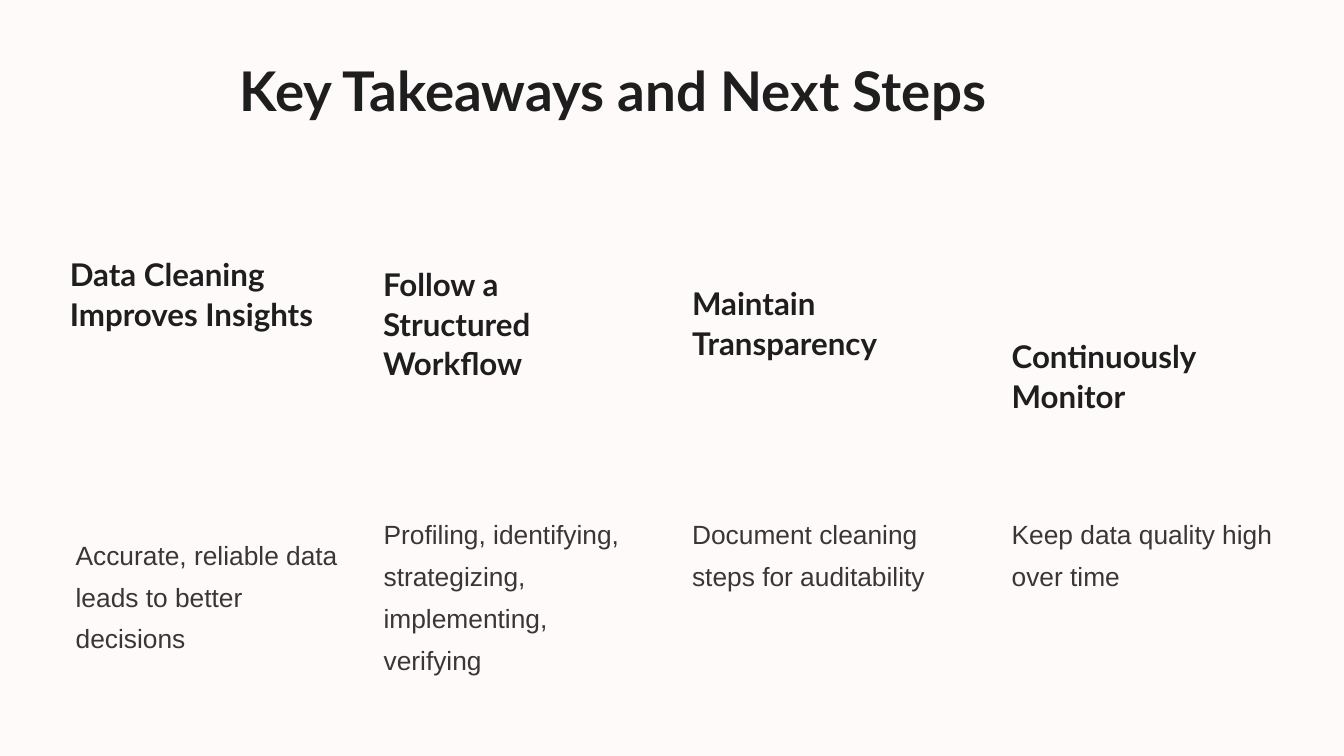
from pptx import Presentation
from pptx.dml.color import RGBColor
from pptx.enum.text import MSO_ANCHOR, MSO_AUTO_SIZE, PP_ALIGN
from pptx.util import Cm, Pt

PAGE = (50.8, 28.58)
TITLE = ("Key Takeaways and Next Steps", (9.07, 2.03, 34.19, 6.73))
WIDTH = 10.01
HEADS = [
    ("Data Cleaning Improves Insights", 2.64, 9.58, 5.51),
    ("Follow a Structured Workflow", 14.48, 9.94, 5.51),
    ("Maintain Transparency", 26.16, 10.67, 4.01),
    ("Continuously Monitor", 38.24, 12.67, 4.01),
]
NOTES = [
    ("Accurate, reliable data leads to better decisions", 2.86, 19.98, 4.95),
    ("Profiling, identifying, strategizing, implementing, verifying", 14.5, 19.2, 6.53),
    ("Document cleaning steps for auditability", 26.16, 19.2, 3.4),
    ("Keep data quality high over time", 38.24, 19.2, 3.4),
]
THEME = {
    "sheets": ("E7EEF9", "FFFAFA"),
    "title": ("Lato", 58.6, 73.8, "1F1E1E", True),
    "head": ("Lato", 33.5, 42.6, "1F1E1E", True),
    "note": ("Arial", 28.2, 44.9, "3B3535", False),
}


def cover(slide, tint):
    wide, high = map(Cm, PAGE)
    path = slide.shapes.build_freeform(0, 0)
    path.add_line_segments([(wide, 0), (wide, high), (0, high)], close=True)
    sheet = path.convert_to_shape()
    sheet.shadow.inherit = False
    sheet.fill.solid()
    sheet.fill.fore_color.rgb = RGBColor.from_string(tint)
    sheet.line.fill.background()


def write(shape, text, role):
    face, size, pitch, ink, bold = THEME[role]
    frame = shape.text_frame
    frame.text = text
    frame.word_wrap = True
    frame.auto_size = MSO_AUTO_SIZE.NONE
    frame.vertical_anchor = MSO_ANCHOR.TOP
    frame.margin_left = frame.margin_right = 0
    frame.margin_top = frame.margin_bottom = 0
    line = frame.paragraphs[0]
    line.alignment = PP_ALIGN.LEFT
    line.line_spacing = Pt(pitch)
    line.font.name = face
    line.font.size = Pt(size)
    line.font.bold = bold
    line.font.color.rgb = RGBColor.from_string(ink)


def main():
    deck = Presentation()
    deck.slide_width, deck.slide_height = map(Cm, PAGE)
    slide = deck.slides.add_slide(deck.slide_layouts[5])
    title = slide.shapes.title
    for tint in THEME["sheets"]:
        cover(slide, tint)

    text, place = TITLE
    title.left, title.top, title.width, title.height = map(Cm, place)
    write(title, text, "title")
    slide.shapes.element.append(title.element)

    for pair in zip(HEADS, NOTES):
        for role, (text, left, top, height) in zip(("head", "note"), pair):
            box = slide.shapes.add_textbox(Cm(left), Cm(top), Cm(WIDTH), Cm(height))
            write(box, text, role)

    deck.save("out.pptx")


if __name__ == "__main__":
    main()
